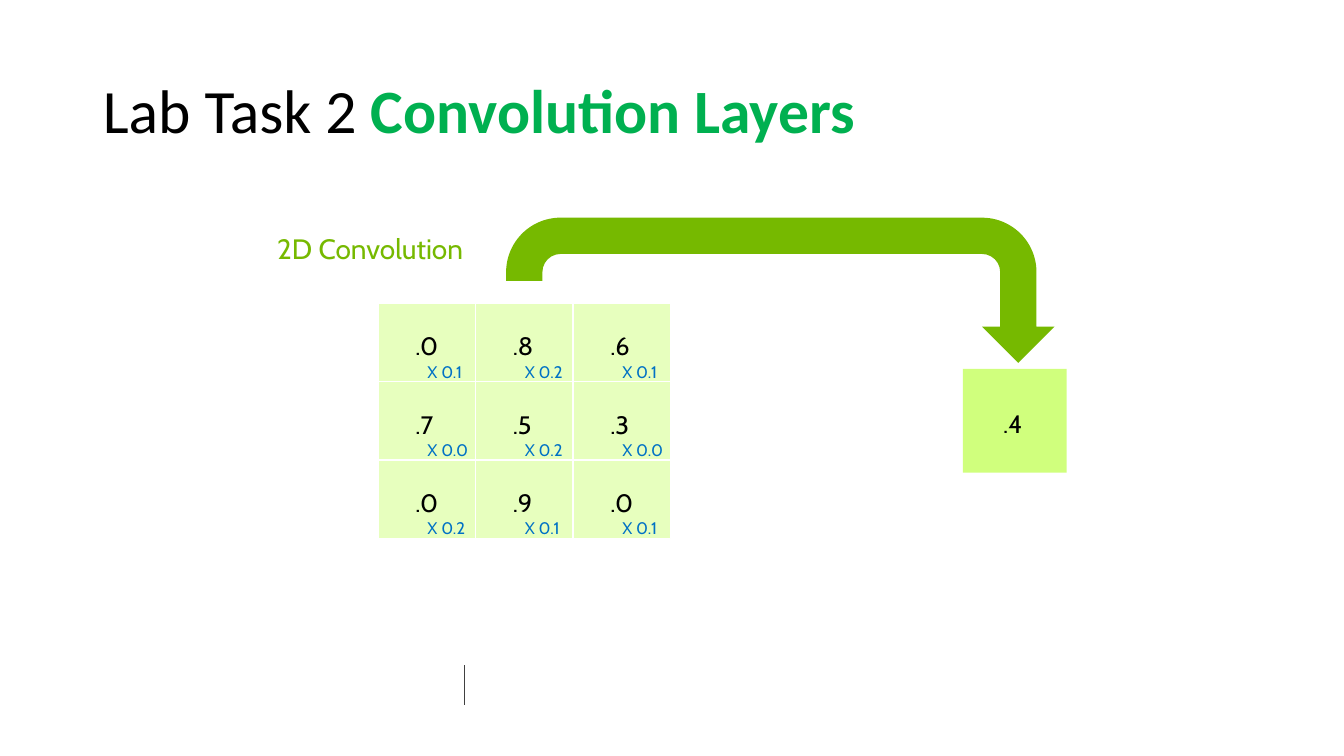
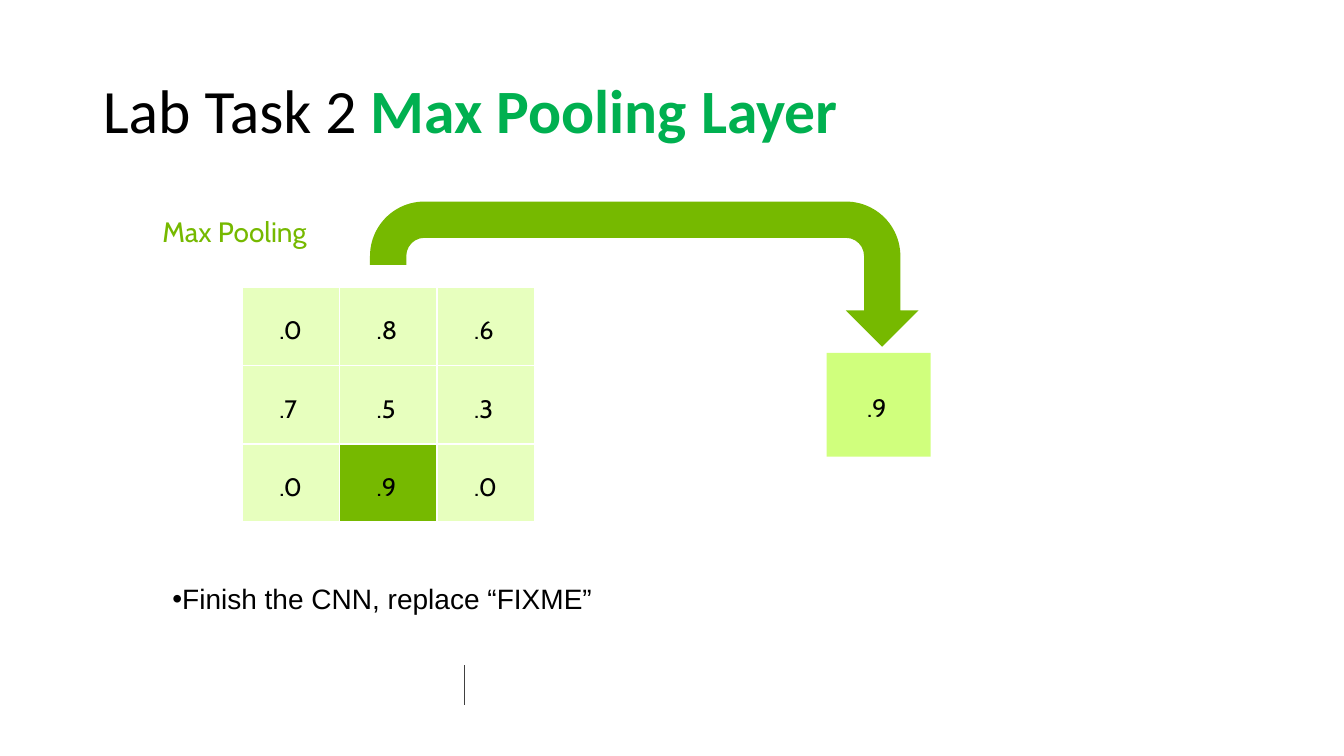
import dataclasses

import lxml.etree
import pptx
import pptx.dml.color
import pptx.enum.shapes
import pptx.enum.text
import pptx.oxml.ns
import pptx.util

Inches = pptx.util.Inches
Pt = pptx.util.Pt
RGBColor = pptx.dml.color.RGBColor
MSO_SHAPE = pptx.enum.shapes.MSO_SHAPE
MSO_ANCHOR = pptx.enum.text.MSO_ANCHOR
PP_ALIGN = pptx.enum.text.PP_ALIGN
qn = pptx.oxml.ns.qn


@dataclasses.dataclass(frozen=True)
class Theme:
    black: str = "000000"
    white: str = "FFFFFF"
    title_green: str = "00B050"
    green: str = "76B900"
    cell_green: str = "E7FFBE"
    result_green: str = "D0FF7D"
    weight_blue: str = "0071C5"
    footer_gray: str = "404040"
    title_font: str = "Calibri"
    diagram_font: str = "Cabin"
    list_font: str = "Arial"
    title_size: int = 44
    label_size: int = 20
    value_size: int = 18
    weight_size: int = 12


theme = Theme()

# Grid measures in inches
GRID_WIDTH, GRID_HEIGHT = 2.9, 2.33
CELL_WIDTH, CELL_HEIGHT = GRID_WIDTH / 3, GRID_HEIGHT / 3
VALUE_LEFT, VALUE_TOP = 0.37, 0.25
WEIGHT_LEFT, WEIGHT_TOP = 0.49, 0.56

VALUES = [[".0", ".8", ".6"], [".7", ".5", ".3"], [".0", ".9", ".0"]]
LAB_SLIDES = [
    {
        "layout": 5,
        "topic": "Convolution Layers",
        "label": "2D Convolution",
        "label_left": 2.75,
        "origin": (3.75, 3.01),
        "result": ".4",
        "weights": [["0.1", "0.2", "0.1"], ["0.0", "0.2", "0.0"], ["0.2", "0.1", "0.1"]],
        "highlight": None,
        "task": None,
    },
    {
        "layout": 1,
        "topic": "Max Pooling Layer",
        "label": "Max Pooling",
        "label_left": 1.61,
        "origin": (2.4, 2.85),
        "result": ".9",
        "weights": [],
        "highlight": (2, 1),
        "task": "Finish the CNN, replace “FIXME”",
    },
]


def write_text(shape, text, size, color, margin_left=0, margin_top=0):
    """Fill a shape with one line of diagram text."""
    text_frame = shape.text_frame
    text_frame.margin_left, text_frame.margin_top = Inches(margin_left), Inches(margin_top)
    text_frame.margin_right = text_frame.margin_bottom = 0
    text_frame.vertical_anchor = MSO_ANCHOR.TOP
    text_frame.word_wrap = True
    paragraph = text_frame.paragraphs[0]
    paragraph.text = text
    paragraph.alignment = PP_ALIGN.LEFT
    paragraph.line_spacing = 1.07
    paragraph.font.name = theme.diagram_font
    paragraph.font.size = Pt(size)
    paragraph.font.color.rgb = RGBColor.from_string(color)


def add_filled_shape(slide, kind, left, top, width, height, color):
    """Add a preset shape with a flat fill and no outline."""
    shape = slide.shapes.add_shape(kind, Inches(left), Inches(top), Inches(width), Inches(height))
    shape.shadow.inherit = False
    shape.fill.solid()
    shape.fill.fore_color.rgb = RGBColor.from_string(color)
    shape.line.fill.background()
    return shape


presentation = pptx.Presentation()
presentation.slide_width = Inches(13.33)
presentation.slide_height = Inches(7.5)

for lab in LAB_SLIDES:
    slide = presentation.slides.add_slide(presentation.slide_layouts[lab["layout"]])
    left, top = lab["origin"]

    # Title
    title = slide.shapes.title
    title.left, title.top = Inches(0.92), Inches(0.4)
    title.width, title.height = Inches(11.5), Inches(1.45)
    title.text_frame.auto_size = pptx.enum.text.MSO_AUTO_SIZE.NONE
    title.text_frame.vertical_anchor = MSO_ANCHOR.MIDDLE
    paragraph = title.text_frame.paragraphs[0]
    paragraph.alignment = PP_ALIGN.LEFT
    paragraph.line_spacing = 0.9
    paragraph.font.name = theme.title_font
    paragraph.font.size = Pt(theme.title_size)
    paragraph.add_run().text = "Lab Task 2 "
    topic = paragraph.add_run()
    topic.text = lab["topic"]
    topic.font.bold = True
    topic.font.color.rgb = RGBColor.from_string(theme.title_green)

    # Arrow from grid to result; the cover shortens its left leg
    arrow = add_filled_shape(
        slide, MSO_SHAPE.U_TURN_ARROW, left + 1.27, top - 0.85, 5.44, 1.44, theme.green)
    arrow.adjustments[3] = 0.375
    arrow.adjustments[4] = 1
    add_filled_shape(
        slide, MSO_SHAPE.RECTANGLE, left + 0.93, top - 0.22, 1.18, 0.29, theme.white)

    # Grid of values
    for row, values in enumerate(VALUES):
        for column, value in enumerate(values):
            fill = theme.green if (row, column) == lab["highlight"] else theme.cell_green
            cell = add_filled_shape(
                slide, MSO_SHAPE.RECTANGLE, left + column * CELL_WIDTH,
                top + row * CELL_HEIGHT, CELL_WIDTH, CELL_HEIGHT, fill)
            write_text(cell, value, theme.value_size, theme.black, VALUE_LEFT, VALUE_TOP)

    # Footer rule and white grid lines
    rules = [(4.61, 6.6, 4.61, 6.99, theme.footer_gray)]
    for index in range(4):
        x, y = left + index * CELL_WIDTH, top + index * CELL_HEIGHT
        rules.append((x, top, x, top + GRID_HEIGHT, theme.white))
        rules.append((left, y, left + GRID_WIDTH, y, theme.white))
    for *ends, color in rules:
        rule = slide.shapes.add_connector(
            pptx.enum.shapes.MSO_CONNECTOR.STRAIGHT, *map(Inches, ends))
        rule.line.color.rgb = RGBColor.from_string(color)
        rule.line.width = Pt(1)
        lxml.etree.SubElement(rule._element.spPr, qn("a:effectLst"))

    # Filter weights
    for row, weights in enumerate(lab["weights"]):
        for column, weight in enumerate(weights):
            box = slide.shapes.add_textbox(
                Inches(left + column * CELL_WIDTH + WEIGHT_LEFT),
                Inches(top + row * CELL_HEIGHT + WEIGHT_TOP), Inches(0.5), Inches(0.26))
            write_text(box, f"X {weight}", theme.weight_size, theme.weight_blue)

    # Result and label
    result = add_filled_shape(
        slide, MSO_SHAPE.RECTANGLE, left + 5.8, top + 0.65, 1.03, 1.03, theme.result_green)
    write_text(result, lab["result"], theme.value_size, theme.black, 0.4, 0.37)
    label = slide.shapes.add_textbox(
        Inches(lab["label_left"]), Inches(top - 0.74), Inches(2.2), Inches(0.43))
    write_text(label, lab["label"], theme.label_size, theme.green)

    # Task list
    if lab["task"]:
        body = slide.placeholders[1]
        body.left, body.top = Inches(1.61), Inches(5.69)
        body.width, body.height = Inches(10), Inches(0.5)
        body.text_frame.auto_size = pptx.enum.text.MSO_AUTO_SIZE.NONE
        body.text_frame.vertical_anchor = MSO_ANCHOR.MIDDLE
        paragraph = body.text_frame.paragraphs[0]
        paragraph.text = lab["task"]
        paragraph.space_before = Pt(0)
        properties = paragraph._p.get_or_add_pPr()
        properties.set("marL", "0")
        properties.set("indent", "0")
        lxml.etree.SubElement(properties, qn("a:buChar"), char="•")
        paragraph.font.name = theme.list_font
        paragraph.font.size = Pt(theme.label_size)
        paragraph.font.color.rgb = RGBColor.from_string(theme.black)

presentation.save("out.pptx")
